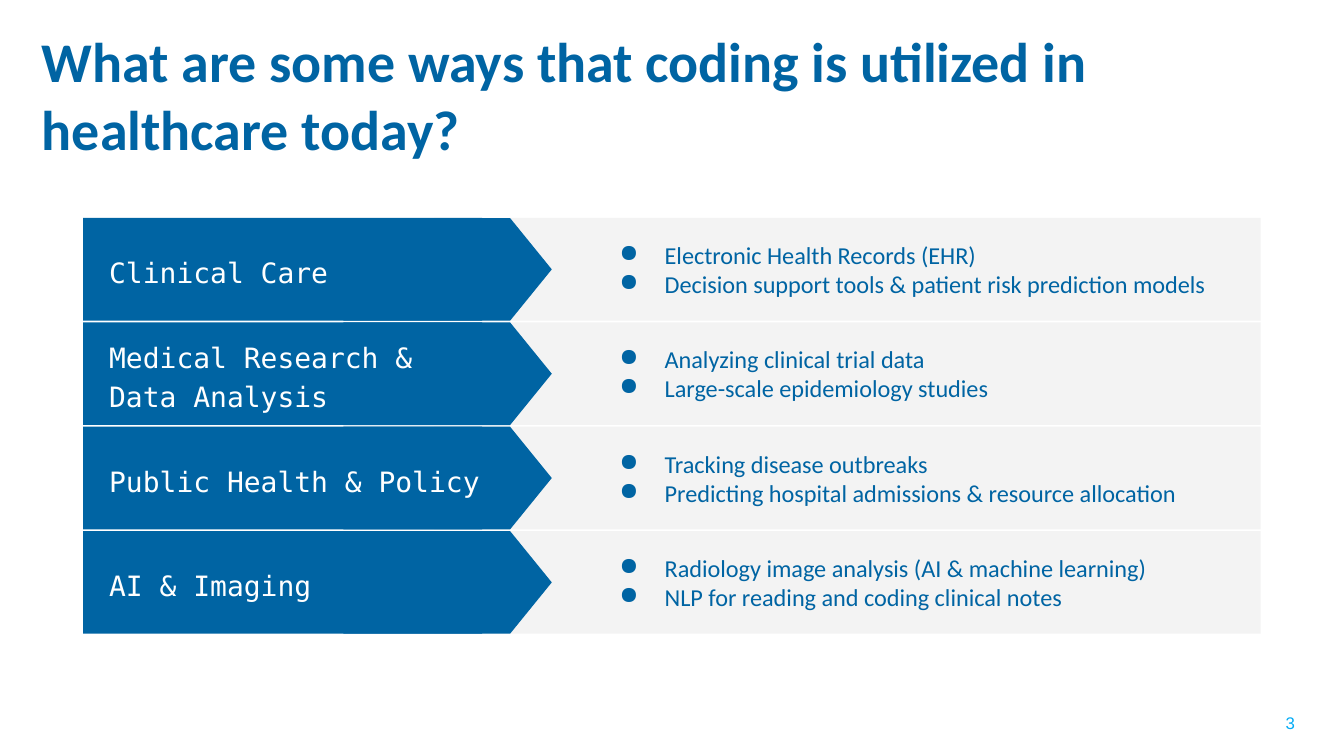
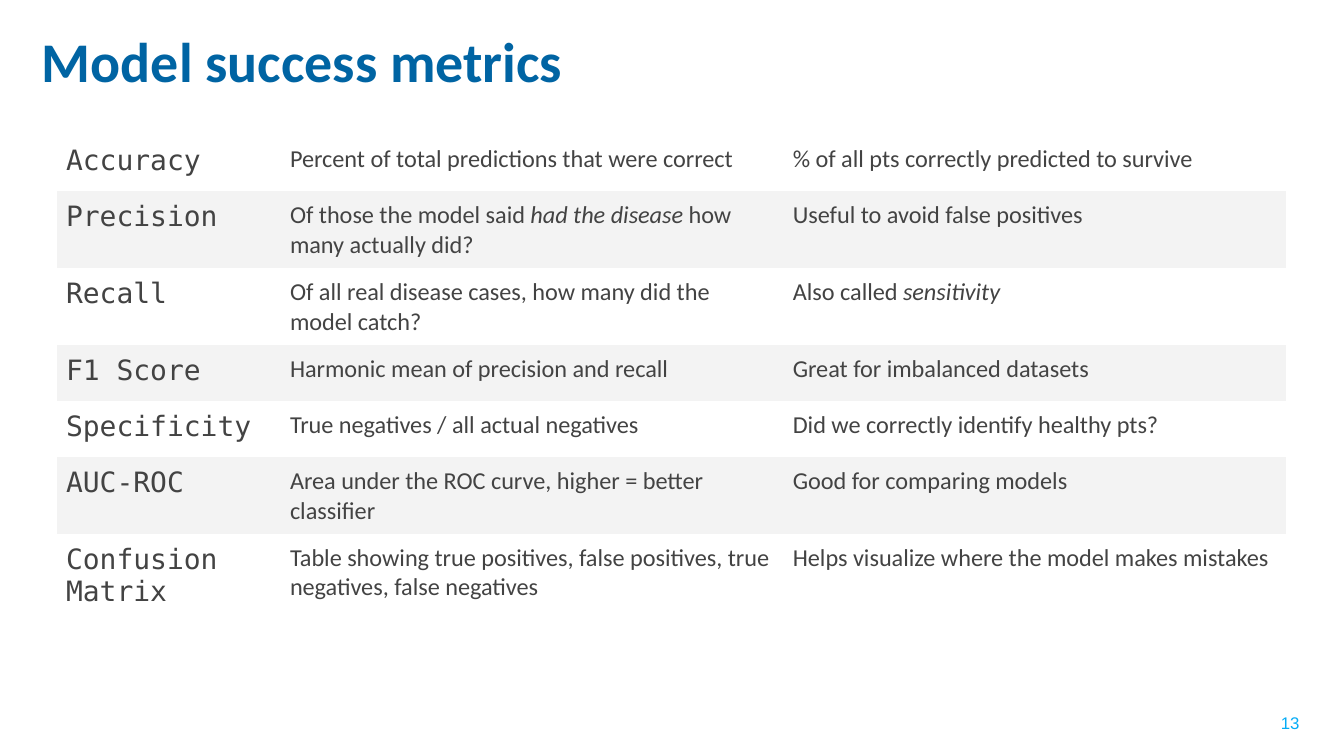
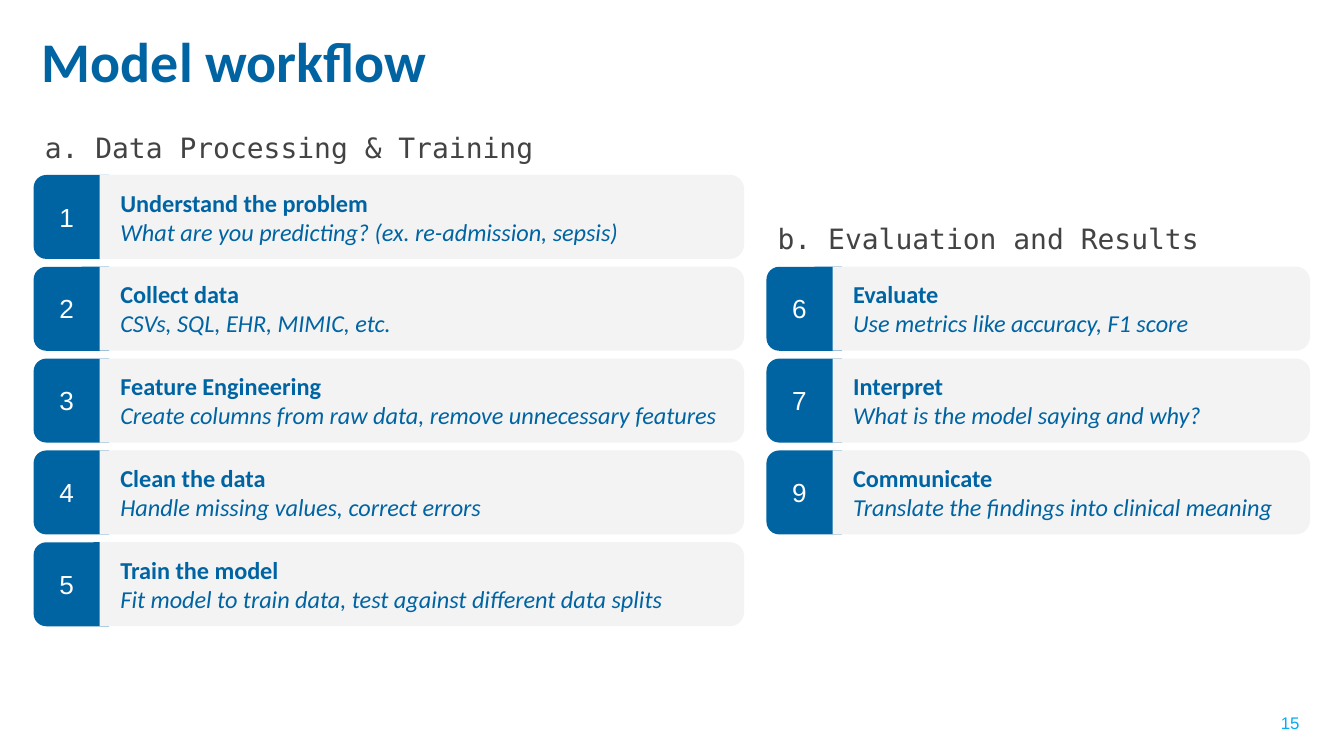
from lxml.etree import SubElement
from pptx import Presentation
from pptx.dml.color import RGBColor
from pptx.enum.shapes import MSO_SHAPE
from pptx.enum.text import MSO_ANCHOR, PP_ALIGN
from pptx.oxml.ns import qn
from pptx.util import Pt

BLUE, GREY, DARK, CYAN, WHITE = "0064A3", "F3F3F3", "434343", "05ACF6", "FFFFFF"

TITLE = dict(name="Calibri", size=Pt(30), bold=True, color=BLUE)
BODY = dict(name="Calibri", size=Pt(13), color=BLUE)
MONO = dict(name="DejaVu Sans Mono", size=Pt(15), color=DARK)
NUMBER = dict(name="Arial", size=Pt(14), color=WHITE)
PAGE = dict(name="Arial", size=Pt(9), color=CYAN)
BOLD, ITALIC = dict(bold=True), dict(italic=True)
NO_GRID_STYLE = "{2D5ABB26-0587-4C30-8999-92F81FD0307C}"

USES = [
    (["Clinical Care"],
     ["Electronic Health Records (EHR)",
      "Decision support tools & patient risk prediction models"]),
    (["Medical Research &", "Data Analysis"],
     ["Analyzing clinical trial data", "Large-scale epidemiology studies"]),
    (["Public Health & Policy"],
     ["Tracking disease outbreaks",
      "Predicting hospital admissions & resource allocation"]),
    (["AI & Imaging"],
     ["Radiology image analysis (AI & machine learning)",
      "NLP for reading and coding clinical notes"]),
]
METRICS = [
    ("Accuracy", "Percent of total predictions that were correct",
     "% of all pts correctly predicted to survive"),
    ("Precision",
     ["Of those the model said ", ("had the disease", ITALIC), " how many actually did?"],
     "Useful to avoid false positives"),
    ("Recall", "Of all real disease cases, how many did the model catch?",
     ["Also called ", ("sensitivity", ITALIC)]),
    ("F1 Score", "Harmonic mean of precision and recall", "Great for imbalanced datasets"),
    ("Specificity", "True negatives / all actual negatives",
     "Did we correctly identify healthy pts?"),
    ("AUC-ROC", "Area under the ROC curve, higher = better classifier",
     "Good for comparing models"),
    ("Confusion Matrix",
     "Table showing true positives, false positives, true negatives, false negatives",
     "Helps visualize where the model makes mistakes"),
]
TRAINING = [
    (1, "Understand the problem", "What are you predicting? (ex. re-admission, sepsis)"),
    (2, "Collect data", "CSVs, SQL, EHR, MIMIC, etc."),
    (3, "Feature Engineering", "Create columns from raw data, remove unnecessary features"),
    (4, "Clean the data", "Handle missing values, correct errors"),
    (5, "Train the model", "Fit model to train data, test against different data splits"),
]
EVALUATION = [
    (6, "Evaluate", "Use metrics like accuracy, F1 score"),
    (7, "Interpret", "What is the model saying and why?"),
    (9, "Communicate", "Translate the findings into clinical meaning"),
]


def rgb(value):
    return RGBColor.from_string(value)


def set_margins(target, horizontal, vertical):
    for side in ("left", "right"):
        setattr(target, f"margin_{side}", Pt(horizontal))
    for side in ("top", "bottom"):
        setattr(target, f"margin_{side}", Pt(vertical))


def add_bullet(p):
    pPr = p._p.get_or_add_pPr()
    pPr.set("marL", str(Pt(36)))
    pPr.set("indent", str(-Pt(24.2)))
    color = SubElement(SubElement(pPr, qn("a:buClr")), qn("a:srgbClr"))
    color.set("val", BLUE)
    SubElement(pPr, qn("a:buChar")).set("char", "●")


def write(tf, paragraphs, style, align=None, spacing=None, bullets=False):
    """Fill a text frame; a paragraph is a string or a list of strings and (string, format) runs."""
    for i, runs in enumerate(paragraphs):
        p = tf.add_paragraph() if i else tf.paragraphs[0]
        p.alignment = align
        if spacing:
            p.line_spacing = spacing
        if bullets:
            add_bullet(p)
        for run in [runs] if isinstance(runs, str) else runs:
            text, extra = (run, {}) if isinstance(run, str) else run
            r = p.add_run()
            r.text = text
            for key, value in {**style, **extra}.items():
                if key == "color":
                    r.font.color.rgb = rgb(value)
                else:
                    setattr(r.font, key, value)


class Deck:
    """Holds the presentation, the current slide and the shapes that elements go to."""

    def __init__(self):
        self.prs = Presentation()
        self.prs.slide_width, self.prs.slide_height = Pt(720), Pt(405)

    def slide(self, title, page, title_height=40):
        self.current = self.prs.slides.add_slide(self.prs.slide_layouts[6])
        self.shapes = self.current.shapes
        self.text(683.3, 379.4, 15.8, 15.1, [str(page)], PAGE, margins=(2.25, 2.25),
                  align=PP_ALIGN.CENTER)
        self.text(18, 12.2, 684, title_height, [title], TITLE, margins=(4.5, 2.25))

    def group(self):
        self.shapes = self.current.shapes.add_group_shape().shapes

    def text(self, x, y, w, h, paragraphs, style, margins=(0, 0), anchor=MSO_ANCHOR.TOP,
             **layout):
        tf = self.shapes.add_textbox(Pt(x), Pt(y), Pt(w), Pt(h)).text_frame
        tf.word_wrap = True
        tf.vertical_anchor = anchor
        set_margins(tf, *margins)
        write(tf, paragraphs, style, **layout)

    def shape(self, kind, x, y, w, h, color, rotation=0, adjustments=()):
        """Draw a preset shape that covers the given box after its rotation."""
        if rotation in (90, 270):
            x, y, w, h = x + (w - h) / 2, y + (h - w) / 2, h, w
        sp = self.shapes.add_shape(kind, Pt(x), Pt(y), Pt(w), Pt(h))
        sp.rotation = rotation
        sp.shadow.inherit = False
        sp.fill.solid()
        sp.fill.fore_color.rgb = rgb(color)
        sp.line.fill.background()
        for i, value in enumerate(adjustments):
            sp.adjustments[i] = value

    def table(self, x, y, widths, row_height, rows, styles):
        frame = self.shapes.add_table(len(rows), len(widths), Pt(x), Pt(y), Pt(sum(widths)),
                                      Pt(row_height * len(rows)))
        table = frame.table
        table.first_row = table.horz_banding = False
        next(frame._element.iter(qn("a:tableStyleId"))).text = NO_GRID_STYLE
        for column, width in zip(table.columns, widths):
            column.width = Pt(width)
        for i, row in enumerate(rows):
            table.rows[i].height = Pt(row_height)
            for j, content in enumerate(row):
                cell = table.cell(i, j)
                set_margins(cell, 5, 5)
                if i % 2:
                    cell.fill.solid()
                    cell.fill.fore_color.rgb = rgb(GREY)
                else:
                    cell.fill.background()
                write(cell.text_frame, [content], styles[j])

    def arrow_row(self, y, label, points):
        height = 55
        self.group()
        self.shape(MSO_SHAPE.RECTANGLE, 232.6, y, 442.8, height, GREY)
        self.shape(MSO_SHAPE.RECTANGLE, 44.6, y, 213.8, height, BLUE)
        self.shape(MSO_SHAPE.FLOWCHART_OFFPAGE_CONNECTOR, 184, y, 111.6, height, BLUE, 270)
        box = dict(margins=(7.2, 7.2), anchor=MSO_ANCHOR.MIDDLE)
        self.text(51.4, y + 6.5, 224.6, 42.5, label, {**MONO, "color": WHITE},
                  spacing=1.15, **box)
        self.text(313, y, 362.6, height, points, BODY, bullets=True, **box)

    def step_card(self, x, y, width, number, name, detail):
        height, badge = 45, 35.4
        rounded = MSO_SHAPE.ROUND_2_SAME_RECTANGLE
        self.shape(rounded, x, y, badge + 5, height, BLUE, 270, (0.168, 0))
        self.shape(rounded, x + badge, y, width - badge, height, GREY, 90, (0.168, 0))
        self.text(x, y + 14, badge, 17.3, [str(number)], NUMBER, align=PP_ALIGN.CENTER)
        self.text(x + 46.5, y, width - 55.5, height, [[(name, BOLD)], [(detail, ITALIC)]],
                  BODY, anchor=MSO_ANCHOR.MIDDLE)

    def step_column(self, x, y, width, heading, steps):
        self.group()
        self.text(x + 6, y - 24, width - 6, 18, [heading], MONO)
        for i, step in enumerate(steps):
            self.step_card(x, y + i * STEP_PITCH, width, *step)


STEP_PITCH = 49.2
USE_PITCH = 55.9


def main():
    deck = Deck()

    deck.slide("What are some ways that coding is utilized in healthcare today?", 3, 77)
    for i, (label, points) in enumerate(USES):
        deck.arrow_row(116.8 + i * USE_PITCH, label, points)

    deck.slide("Model success metrics", 13)
    definition = {**BODY, "color": DARK}
    deck.table(30.4, 72.4, (120, 269.4, 269.4), 30, METRICS, (MONO, definition, definition))

    deck.slide("Model workflow", 15)
    top = 93.7
    deck.step_column(18, top, 380.6, "a. Data Processing & Training", TRAINING)
    deck.step_column(410.6, top + STEP_PITCH, 291.2, "b. Evaluation and Results", EVALUATION)

    deck.prs.save("out.pptx")


if __name__ == "__main__":
    main()
